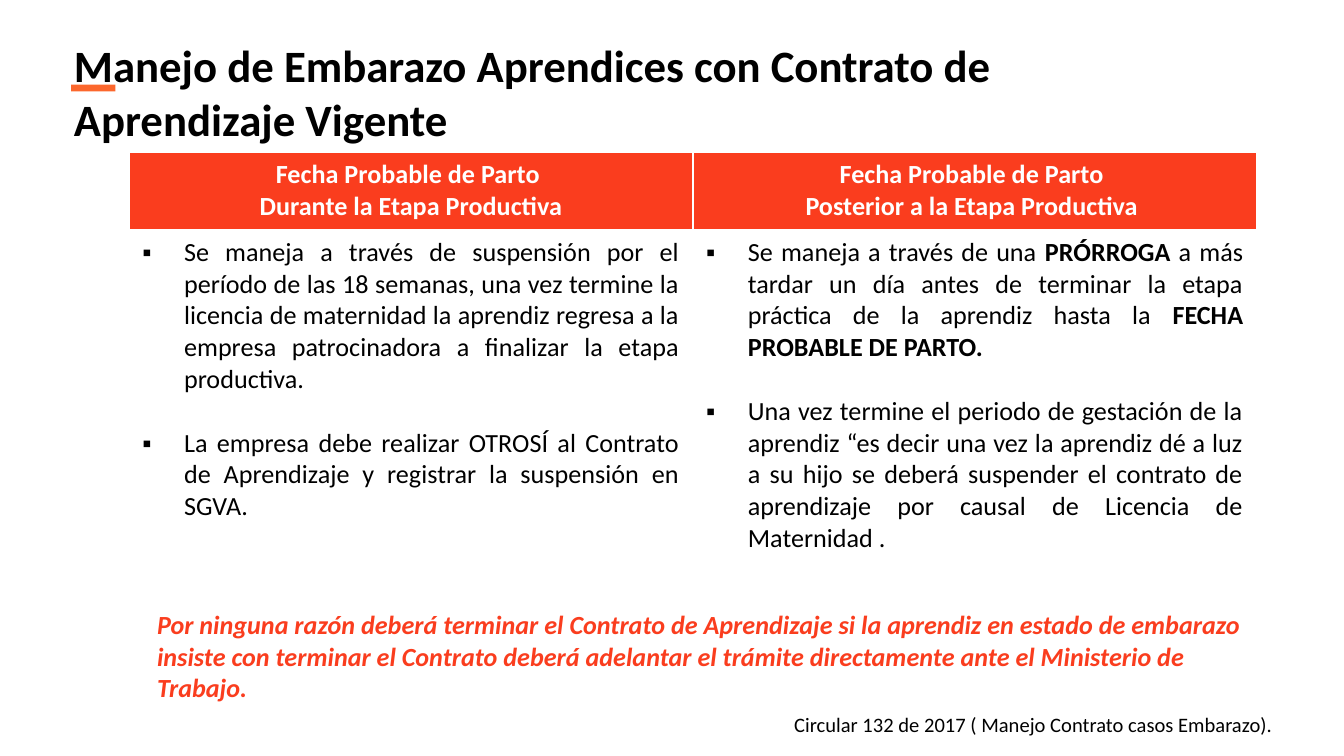
from pptx import Presentation
from pptx import util as u
from pptx.dml.color import RGBColor
from pptx.enum import shapes, text
from pptx.oxml.ns import qn
from lxml import etree

BLACK, WHITE, RED, ORANGE = "000000", "FFFFFF", "FA3D1E", "FC672D"
HEADERS = [
    ["Fecha Probable de Parto ", "Durante la Etapa Productiva"],
    ["Fecha Probable de Parto ", "Posterior a la Etapa Productiva "],
]
PROCEDURES = [
    [
        [("Se maneja a través de suspensión por el período de las 18 semanas, "
          "una vez termine la licencia de maternidad la aprendiz regresa a la "
          "empresa patrocinadora a finalizar la etapa productiva.", False)],
        [("La empresa debe realizar OTROSÍ al Contrato de Aprendizaje y "
          "registrar la suspensión en SGVA. ", False)],
    ],
    [
        [("Se maneja a través de una ", False),
         ("PRÓRROGA", True),
         (" a más tardar un día antes de terminar la etapa práctica de la "
          "aprendiz hasta la ", False),
         ("FECHA PROBABLE DE PARTO. ", True)],
        [("Una vez termine el periodo de gestación de la aprendiz “es decir una "
          "vez la aprendiz dé a luz a su hijo se deberá suspender el contrato de "
          "aprendizaje por causal de Licencia de Maternidad .", False)],
    ],
]


def color(value):
    return RGBColor.from_string(value)


class SlideBuilder:
    font_name = "Calibri"
    body_size = 14

    def __init__(self, slide):
        self.slide = slide

    def style(self, paragraph, size, fill, bold=None, italic=None):
        font = paragraph.font
        font.name, font.size = self.font_name, u.Pt(size)
        font.bold, font.italic = bold, italic
        font.color.rgb = color(fill)

    def fit(self, frame):
        frame.word_wrap = True
        frame.auto_size = text.MSO_AUTO_SIZE.SHAPE_TO_FIT_TEXT
        frame.vertical_anchor = text.MSO_ANCHOR.TOP

    def title(self, wording, left, top, width, height):
        title = self.slide.shapes.title
        title.left, title.top = u.Inches(left), u.Inches(top)
        title.width, title.height = u.Inches(width), u.Inches(height)
        self.fit(title.text_frame)
        paragraph = title.text_frame.paragraphs[0]
        paragraph.text = wording
        paragraph.alignment = text.PP_ALIGN.LEFT
        self.style(paragraph, 24, BLACK, bold=True)

    def bar(self, fill, left, top, width, height):
        bar = self.slide.shapes.add_shape(
            shapes.MSO_SHAPE.RECTANGLE,
            u.Inches(left), u.Inches(top), u.Inches(width), u.Inches(height))
        bar.shadow.inherit = False
        bar.fill.solid()
        bar.fill.fore_color.rgb = color(fill)
        bar.line.fill.background()

    def note(self, wording, left, top, width, height, size, fill,
             bold=None, italic=None, indent=0):
        box = self.slide.shapes.add_textbox(
            u.Inches(left), u.Inches(top), u.Inches(width), u.Inches(height))
        self.fit(box.text_frame)
        paragraph = box.text_frame.paragraphs[0]
        paragraph.text = wording
        if indent:
            paragraph._p.get_or_add_pPr().set("marL", str(u.Inches(indent)))
        self.style(paragraph, size, fill, bold, italic)

    def bullet(self, paragraph, hanging):
        properties = paragraph._p.get_or_add_pPr()
        properties.set("marL", str(u.Inches(hanging)))
        properties.set("indent", str(-u.Inches(hanging)))
        etree.SubElement(properties, qn("a:buFont")).set("typeface", "Arial")
        etree.SubElement(properties, qn("a:buChar")).set("char", "▪")

    def fill_cell(self, cell, fill, paragraphs):
        cell.fill.solid()
        cell.fill.fore_color.rgb = color(fill)
        frame = cell.text_frame
        for index, content in enumerate(paragraphs):
            paragraph = frame.add_paragraph() if index else frame.paragraphs[0]
            yield index, paragraph, content

    def header_cell(self, cell, lines):
        for _, paragraph, line in self.fill_cell(cell, RED, lines):
            paragraph.text = line
            paragraph.alignment = text.PP_ALIGN.CENTER
            self.style(paragraph, self.body_size, WHITE, bold=True)

    def procedure_cell(self, cell, items):
        for index, paragraph, pieces in self.fill_cell(cell, WHITE, items):
            paragraph.alignment = text.PP_ALIGN.JUSTIFY
            if index:
                paragraph.space_before = u.Pt(17)
            self.bullet(paragraph, 0.31)
            self.style(paragraph, self.body_size, BLACK, bold=False)
            for wording, strong in pieces:
                run = paragraph.add_run()
                run.text = wording
                if strong:
                    run.font.bold = True

    def table(self, headers, procedures, left, top, width, row_heights):
        table = self.slide.shapes.add_table(
            len(row_heights), len(headers), u.Inches(left), u.Inches(top),
            u.Inches(width), u.Inches(sum(row_heights))).table
        for row, height in zip(table.rows, row_heights):
            row.height = u.Inches(height)
        for column, (header, items) in enumerate(zip(headers, procedures)):
            self.header_cell(table.cell(0, column), header)
            self.procedure_cell(table.cell(1, column), items)


def main():
    deck = Presentation()
    deck.slide_width = u.Inches(10)
    deck.slide_height = deck.slide_width * 9 // 16
    builder = SlideBuilder(deck.slides.add_slide(deck.slide_layouts[5]))
    builder.title("Manejo de Embarazo Aprendices con Contrato de Aprendizaje Vigente",
                  0.45, 0.23, 8.54, 0.91)
    builder.bar(ORANGE, 0.53, 0.63, 0.33, 0.05)
    builder.table(HEADERS, PROCEDURES, 0.96, 1.13, 8.39, [0.58, 2.55])
    builder.note("Por ninguna razón deberá terminar el Contrato de Aprendizaje si la "
                 "aprendiz en estado de embarazo insiste con terminar el Contrato "
                 "deberá adelantar el trámite directamente ante el Ministerio de "
                 "Trabajo.", 1.07, 4.48, 8.28, 0.81, 14, RED, bold=True, italic=True)
    builder.note("Circular 132 de 2017 ( Manejo Contrato casos Embarazo).",
                 5.42, 5.25, 5, 0.29, 11, BLACK, indent=0.39)
    deck.save("out.pptx")


if __name__ == "__main__":
    main()
